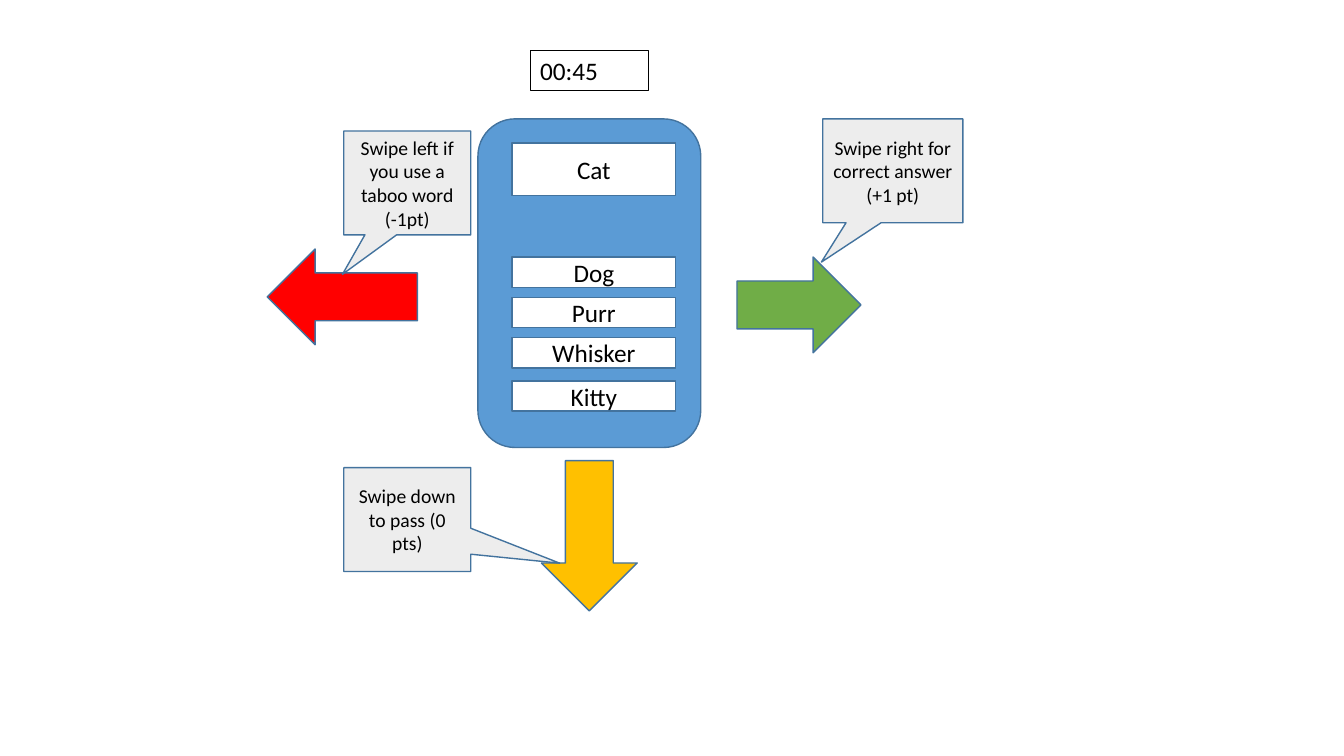
"""Build the slide that explains the swipe moves of a taboo word game."""
from dataclasses import dataclass

from pptx import Presentation
from pptx.dml.color import RGBColor
from pptx.enum.shapes import MSO_SHAPE
from pptx.enum.text import MSO_ANCHOR, MSO_AUTO_SIZE, PP_ALIGN
from pptx.util import Inches, Pt


@dataclass(frozen=True)
class Theme:
    font: str = "Calibri"
    word_size: int = 18
    hint_size: int = 14
    text: str = "000000"
    outline: str = "43739E"
    phone: str = "5B9BD5"
    paper: str = "FFFFFF"
    hint: str = "EDEDED"
    correct: str = "70AD47"
    taboo: str = "FF0000"
    skip: str = "FFC000"


class SlideBuilder:
    def __init__(self, slide, theme):
        self.slide = slide
        self.theme = theme

    def set_text(self, frame, text, size, align):
        frame.word_wrap = True
        frame.text = text
        paragraph = frame.paragraphs[0]
        paragraph.alignment = align
        paragraph.font.name = self.theme.font
        paragraph.font.size = Pt(size)
        paragraph.font.color.rgb = RGBColor.from_string(self.theme.text)

    def block(self, kind, box, fill):
        shape = self.slide.shapes.add_shape(kind, *map(Inches, box))
        shape.shadow.inherit = False
        shape.fill.solid()
        shape.fill.fore_color.rgb = RGBColor.from_string(fill)
        shape.line.color.rgb = RGBColor.from_string(self.theme.outline)
        shape.line.width = Pt(1)
        return shape

    def label(self, kind, box, fill, text, size):
        shape = self.block(kind, box, fill)
        shape.text_frame.vertical_anchor = MSO_ANCHOR.MIDDLE
        self.set_text(shape.text_frame, text, size, PP_ALIGN.CENTER)
        return shape

    def word(self, top, height, text):
        self.label(MSO_SHAPE.RECTANGLE, (5.08, top, 1.62, height),
                   self.theme.paper, text, self.theme.word_size)

    def hint(self, left, top, width, pointer, text):
        callout = self.label(MSO_SHAPE.RECTANGULAR_CALLOUT, (left, top, width, 1.03),
                             self.theme.hint, text, self.theme.hint_size)
        callout.adjustments[0], callout.adjustments[1] = pointer

    def timer(self, box, text):
        clock = self.slide.shapes.add_textbox(*map(Inches, box))
        clock.line.color.rgb = RGBColor.from_string(self.theme.text)
        clock.line.width = Pt(0.75)
        self.set_text(clock.text_frame, text, self.theme.word_size, PP_ALIGN.LEFT)
        clock.text_frame.auto_size = MSO_AUTO_SIZE.SHAPE_TO_FIT_TEXT


theme = Theme()
presentation = Presentation()
presentation.slide_width = Inches(13.33)
presentation.slide_height = Inches(7.5)
game = SlideBuilder(presentation.slides.add_slide(presentation.slide_layouts[6]), theme)

game.block(MSO_SHAPE.ROUNDED_RECTANGLE, (4.74, 1.18, 2.21, 3.26), theme.phone)
game.word(1.42, 0.52, "Cat")
for top, taboo_word in ((2.55, "Dog"), (2.95, "Purr"), (3.35, "Whisker"), (3.78, "Kitty")):
    game.word(top, 0.3, taboo_word)

game.block(MSO_SHAPE.RIGHT_ARROW, (7.31, 2.55, 1.23, 0.95), theme.correct)
game.block(MSO_SHAPE.LEFT_ARROW, (2.65, 2.47, 1.49, 0.95), theme.taboo)
game.block(MSO_SHAPE.DOWN_ARROW, (5.37, 4.57, 0.95, 1.49), theme.skip)

points_down, points_right = (-0.51, 0.88), (1.2, 0.42)
game.hint(8.16, 1.18, 1.39, points_down, "Swipe right for correct answer (+1 pt)")
game.hint(3.41, 1.3, 1.26, points_down, "Swipe left if you use a taboo word (-1pt)")
game.hint(3.41, 4.64, 1.26, points_right, "Swipe down to pass (0 pts)")
game.timer((5.26, 0.5, 1.17, 0.4), "00:45")

presentation.save("out.pptx")
